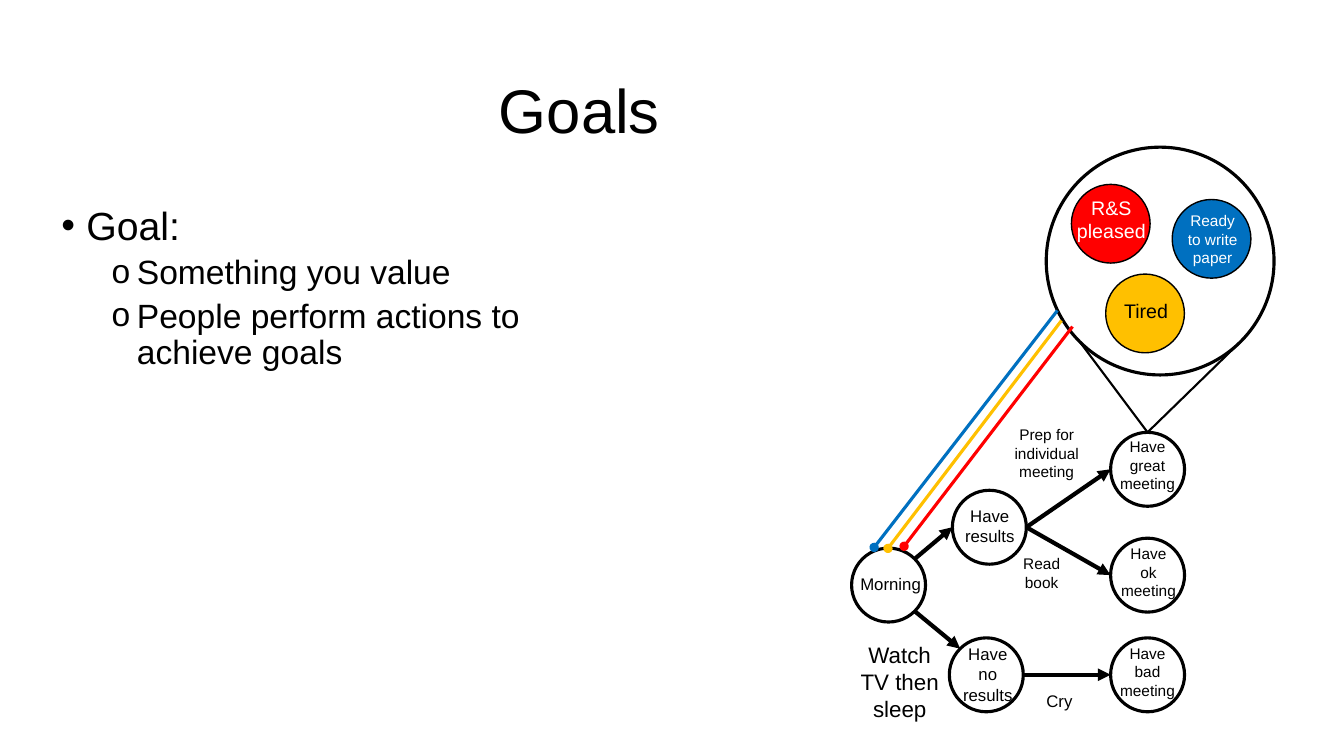
from dataclasses import dataclass
from math import cos, radians, sin

from lxml import etree
from pptx import Presentation
from pptx.dml.color import RGBColor
from pptx.enum.shapes import MSO_CONNECTOR, MSO_SHAPE
from pptx.enum.text import MSO_ANCHOR, MSO_AUTO_SIZE, PP_ALIGN
from pptx.oxml.ns import qn
from pptx.util import Pt

STRAIGHT, ELLIPSE = MSO_CONNECTOR.STRAIGHT, MSO_SHAPE.OVAL
LEFT, CENTER = PP_ALIGN.LEFT, PP_ALIGN.CENTER
TOP, MIDDLE = MSO_ANCHOR.TOP, MSO_ANCHOR.MIDDLE
GROW, FIXED = MSO_AUTO_SIZE.SHAPE_TO_FIT_TEXT, MSO_AUTO_SIZE.NONE

BLACK = RGBColor(0x00, 0x00, 0x00)
WHITE = RGBColor(0xFF, 0xFF, 0xFF)
RED = RGBColor(0xFF, 0x00, 0x00)
BLUE = RGBColor(0x00, 0x70, 0xC0)
YELLOW = RGBColor(0xFF, 0xC0, 0x00)
FONT = "Arial"
INDENT = 18

Point = tuple[float, float]
Box = tuple[float, float, float, float]


@dataclass
class Circle:
    x: float
    y: float
    diameter: float = 52.8
    fill: RGBColor = WHITE
    line_width: float = 2.25

    def edge(self, degrees: float) -> Point:
        """Point on the rim, clockwise from the right."""
        radius, angle = self.diameter / 2, radians(degrees)
        return self.x + radius * cos(angle), self.y + radius * sin(angle)


@dataclass
class Label:
    text: str  # \n starts a paragraph, \v a line
    box: Box
    size: float
    color: RGBColor = BLACK
    wrap: bool = True


@dataclass
class Line:
    start: Point
    end: Point
    width: float
    color: RGBColor = BLACK
    tip: str = ""


@dataclass
class Bullet:
    text: str
    character: str
    size: float
    level: int = 0
    space_before: float = 0


presentation = Presentation()
presentation.slide_width, presentation.slide_height = Pt(960), Pt(540)
slide = presentation.slides.add_slide(presentation.slide_layouts[6])


def add_text(text: str, box: Box, *, size: float, color: RGBColor = BLACK,
             align: PP_ALIGN = CENTER, anchor: MSO_ANCHOR = TOP,
             wrap: bool = True, auto_size: MSO_AUTO_SIZE = FIXED,
             line_spacing: float = 1.0):
    frame = slide.shapes.add_textbox(*map(Pt, box)).text_frame
    frame.word_wrap, frame.auto_size = wrap, auto_size
    frame.vertical_anchor = anchor
    frame.text = text
    for paragraph in frame.paragraphs:
        paragraph.alignment, paragraph.line_spacing = align, line_spacing
        for run in paragraph.runs:
            run.font.name, run.font.size = FONT, Pt(size)
            run.font.color.rgb = color
    return frame


def add_bullets(bullets: list[Bullet], box: Box) -> None:
    frame = add_text("\n".join(bullet.text for bullet in bullets), box,
                     size=28, align=LEFT, line_spacing=0.9)
    for paragraph, bullet in zip(frame.paragraphs, bullets):
        properties = paragraph._p.get_or_add_pPr()
        properties.set("marL", str(Pt(INDENT * (1 + 2 * bullet.level))))
        properties.set("indent", str(Pt(-INDENT)))
        etree.SubElement(properties, qn("a:buFont")).set("typeface", FONT)
        etree.SubElement(properties, qn("a:buChar")).set("char", bullet.character)
        paragraph.level = bullet.level
        paragraph.space_before = Pt(bullet.space_before)
        paragraph.runs[0].font.size = Pt(bullet.size)


def add_circle(circle: Circle) -> None:
    radius = circle.diameter / 2
    shape = slide.shapes.add_shape(
        ELLIPSE, Pt(circle.x - radius), Pt(circle.y - radius),
        Pt(circle.diameter), Pt(circle.diameter))
    shape.shadow.inherit = False
    shape.fill.solid()
    shape.fill.fore_color.rgb = circle.fill
    shape.line.color.rgb = BLACK
    shape.line.width = Pt(circle.line_width)


def add_line(line: Line) -> None:
    connector = slide.shapes.add_connector(
        STRAIGHT, *map(Pt, line.start + line.end))
    connector.line.color.rgb = line.color
    connector.line.width = Pt(line.width)
    if line.tip:
        outline = connector.line._get_or_add_ln()
        etree.SubElement(outline, qn("a:tailEnd")).set("type", line.tip)
    etree.SubElement(connector._element.spPr, qn("a:effectLst"))


# Title and bullets
add_text("Goals", (66.2, 28.8, 695.5, 104.4), size=44, anchor=MIDDLE,
         line_spacing=0.9)
add_bullets([
    Bullet("Goal:", "•", 28),
    Bullet("Something you value", "o", 24, 1, 5),
    Bullet("People perform actions to achieve goals", "o", 24, 1, 5),
], (36.7, 144, 398.2, 375.8))

# States of the day and the goals inside the magnified state
morning = Circle(634.7, 417.9)
results = Circle(706.7, 376.6)
no_results = Circle(704.5, 482)
great, ok, bad = (Circle(819.7, y) for y in (335.2, 410.8, 482))
magnifier = Circle(828.7, 186.5, 162.7)
goals = [Circle(x, y, 56.2, fill, 1) for x, y, fill in (
    (793.4, 159.8, RED), (865.4, 170.6, BLUE), (817.9, 223.9, YELLOW))]
for state in (morning, results, no_results, great, ok, bad, magnifier, *goals):
    add_circle(state)

# Actions, magnifier rays and links from the goals to the morning
actions = [
    (morning.edge(-45), results.edge(180)),
    (morning.edge(45), no_results.edge(-135)),
    (results.edge(0), great.edge(180)),
    (results.edge(0), ok.edge(180)),
    (no_results.edge(0), bad.edge(180)),
]
for start, end in actions:
    add_line(Line(start, end, 3, tip="triangle"))
for angle in (135, 45):
    add_line(Line(magnifier.edge(angle), great.edge(-90), 1.5))
for start, end, color in (
    ((755.3, 221.8), (624.4, 391), BLUE),
    ((766.1, 233.3), (645.8, 390.2), RED),
    ((758.2, 229), (634.3, 391.7), YELLOW),
):
    add_line(Line(start, end, 2.25, color, "oval"))

# Labels
labels = [
    Label("Watch\nTV then\nsleep", (607, 454.3, 71.3, 65.5), 16, wrap=False),
    Label("Morning", (607, 406.1, 58.3, 21.6), 12, wrap=False),
    Label("Have\nresults", (670.3, 357.8, 73.4, 36), 12),
    Label("Have\nno\nresults", (668.9, 456.5, 73.4, 51.1), 12),
    Label("Prep for individual meeting", (702, 300.2, 91.4, 47.5), 11),
    Label("Read\vbook", (698.4, 392.4, 91.4, 33.8), 11),
    Label("Have\vgreat\vmeeting", (774, 308.9, 91.4, 47.5), 11),
    Label("Have\vok\vmeeting", (774.7, 385.2, 91.4, 47.5), 11),
    Label("Have\vbad\vmeeting", (774, 456.5, 91.4, 47.5), 11),
    Label("Cry", (720, 489.6, 73.4, 21.6), 12),
    Label("R&S\vpleased", (761.8, 136.1, 64.1, 41), 14, WHITE, False),
    Label("Ready\vto write\npaper", (841, 147.6, 50.4, 47.5), 11, WHITE, False),
    Label("Tired", (795.6, 210.2, 46.1, 24.5), 14, wrap=False),
]
for label in labels:
    add_text(label.text, label.box, size=label.size, color=label.color,
             wrap=label.wrap, auto_size=GROW)

presentation.save("out.pptx")
